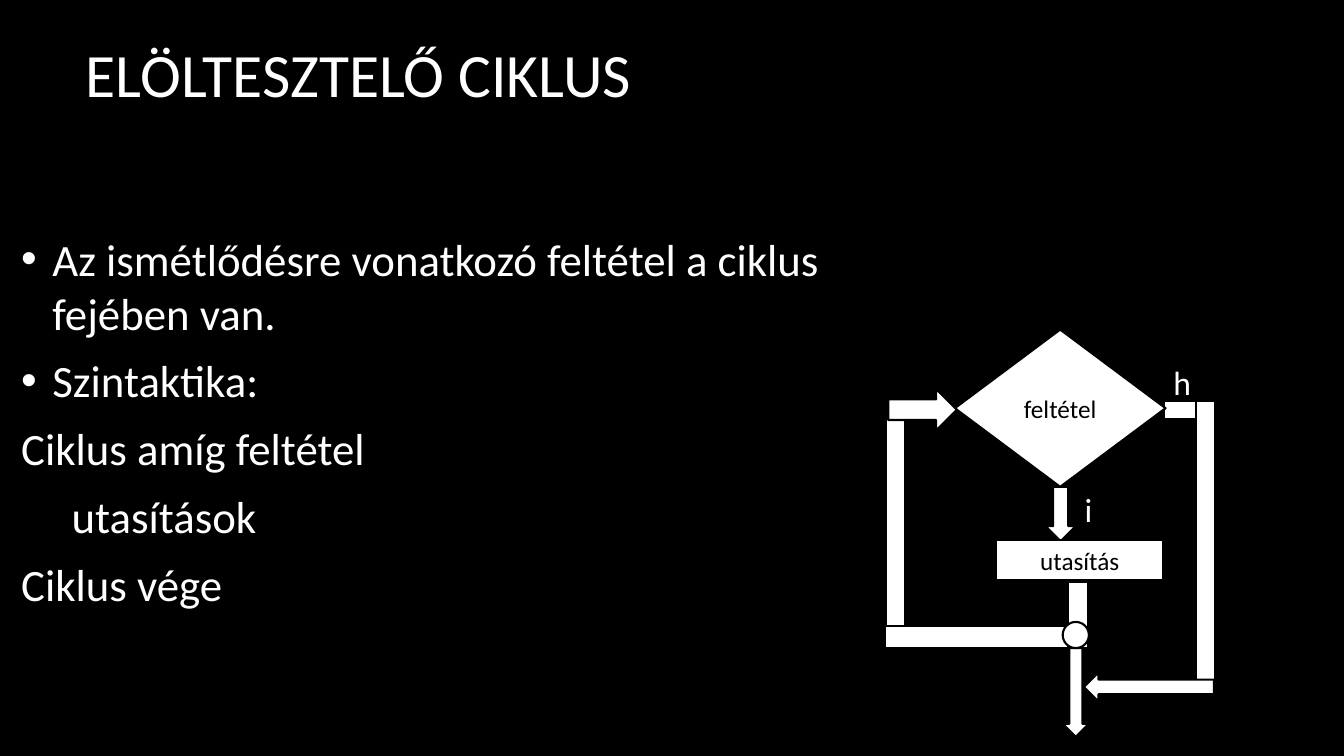
from lxml import etree
from pptx import Presentation
from pptx.dml.color import RGBColor
from pptx.enum.shapes import MSO_SHAPE
from pptx.enum.text import MSO_ANCHOR, MSO_AUTO_SIZE, PP_ALIGN
from pptx.oxml.ns import qn
from pptx.util import Inches, Pt

BLACK, WHITE = "000000", "FFFFFF"
FONT = "Calibri"
MIDDLE, NO_FIT = MSO_ANCHOR.MIDDLE, MSO_AUTO_SIZE.NONE
LEFT, CENTER = PP_ALIGN.LEFT, PP_ALIGN.CENTER
RECTANGLE, DIAMOND, ELLIPSE = MSO_SHAPE.RECTANGLE, MSO_SHAPE.DIAMOND, MSO_SHAPE.OVAL
DOWN, RIGHT, BACK = MSO_SHAPE.DOWN_ARROW, MSO_SHAPE.RIGHT_ARROW, MSO_SHAPE.LEFT_ARROW

TITLE_BOX = (0.75, 0.28, 11.08, 0.89)
BODY_BOX = (0.11, 1.17, 9.57, 6.01)
CHART_BOX = (8.78, 3.27, 3.28, 4.04)
CHART_COLUMNS, CHART_ROWS = 328, 404

BODY_LINES = [
    ("Az ismétlődésre vonatkozó feltétel a ciklus fejében van.", True, 0.31),
    ("Szintaktika:", True, 0.31),
    ("Ciklus amíg feltétel", False, 0),
    ("utasítások", False, 0.5),
    ("Ciklus vége", False, 0),
]
CHART_PARTS = [
    (DOWN, (159, 156, 30, 54), ""),
    (RECTANGLE, (276, 71, 46, 18), ""),
    (RECTANGLE, (1, 71, 19, 225), ""),
    (RECTANGLE, (308, 71, 19, 281), ""),
    (RECTANGLE, (0, 294, 188, 22), ""),
    (DIAMOND, (69, 0, 209, 156), "feltétel"),
    (RECTANGLE, (110, 209, 166, 40), "utasítás"),
    (DOWN, (176, 316, 26, 88), ""),
    (RIGHT, (3, 59, 68, 41), ""),
    (RECTANGLE, (181, 250, 20, 66), ""),
    (ELLIPSE, (176, 290, 26, 26), ""),
    (BACK, (197, 340, 129, 29), ""),
]
BRANCH_LABELS = [("h", (276, 27, 44, 50)), ("i", (188, 153, 44, 50))]


def color(value):
    """Turn a hex string into a colour."""
    return RGBColor.from_string(value)


def place(shape, box):
    """Move a shape to a box given in inches."""
    shape.left, shape.top, shape.width, shape.height = map(Inches, box)


def write(paragraph, text, size, ink, alignment=LEFT):
    """Add one formatted run to a paragraph."""
    paragraph.alignment = alignment
    run = paragraph.add_run()
    run.text = text
    run.font.name = FONT
    run.font.size = Pt(size)
    run.font.color.rgb = color(ink)


def set_indent(paragraph, bulleted, indent):
    """Set the left margin and the bullet of a paragraph."""
    properties = paragraph._p.get_or_add_pPr()
    properties.set("marL", str(Inches(indent)))
    properties.set("indent", str(-Inches(indent) if bulleted else 0))
    if bulleted:
        etree.SubElement(properties, qn("a:buFont"), typeface="Arial")
        etree.SubElement(properties, qn("a:buChar"), char="•")
    else:
        etree.SubElement(properties, qn("a:buNone"))


def add_title(slide, box):
    """Fill the title placeholder."""
    title = slide.shapes.title
    place(title, box)
    frame = title.text_frame
    frame.vertical_anchor, frame.auto_size = MIDDLE, NO_FIT
    write(frame.paragraphs[0], "ELÖLTESZTELŐ CIKLUS", 44, WHITE)


def add_body(slide, box):
    """Fill the body placeholder with bullets and syntax lines."""
    body = slide.placeholders[1]
    place(body, box)
    frame = body.text_frame
    frame.vertical_anchor, frame.auto_size = MIDDLE, NO_FIT
    for index, (text, bulleted, indent) in enumerate(BODY_LINES):
        paragraph = frame.add_paragraph() if index else frame.paragraphs[0]
        paragraph.space_before, paragraph.space_after = Pt(0), Pt(10)
        set_indent(paragraph, bulleted, indent)
        write(paragraph, text, 32, WHITE)


def add_flowchart(slide, box):
    """Draw the loop flowchart on a fine grid within the box."""
    left, top, width, height = box
    column, row = width / CHART_COLUMNS, height / CHART_ROWS

    def cell(x, y, columns, rows):
        """Convert grid units into lengths on the slide."""
        lengths = (left + x * column, top + y * row, columns * column, rows * row)
        return [Inches(length) for length in lengths]

    for kind, grid, text in CHART_PARTS:
        shape = slide.shapes.add_shape(kind, *cell(*grid))
        shape.shadow.inherit = False
        shape.fill.solid()
        shape.fill.fore_color.rgb = color(WHITE)
        shape.line.color.rgb = color(BLACK)
        shape.line.width = Pt(1.5)
        if text:
            shape.text_frame.vertical_anchor = MIDDLE
            write(shape.text_frame.paragraphs[0], text, 18, BLACK, CENTER)
    for text, grid in BRANCH_LABELS:
        frame = slide.shapes.add_textbox(*cell(*grid)).text_frame
        frame.word_wrap = True
        write(frame.paragraphs[0], text, 24, WHITE)


def main():
    """Build and save the presentation."""
    presentation = Presentation()
    presentation.slide_width, presentation.slide_height = Inches(13.33), Inches(7.5)
    slide = presentation.slides.add_slide(presentation.slide_layouts[1])
    slide.background.fill.solid()
    slide.background.fill.fore_color.rgb = color(BLACK)
    add_title(slide, TITLE_BOX)
    add_body(slide, BODY_BOX)
    add_flowchart(slide, CHART_BOX)
    presentation.save("out.pptx")


if __name__ == "__main__":
    main()
